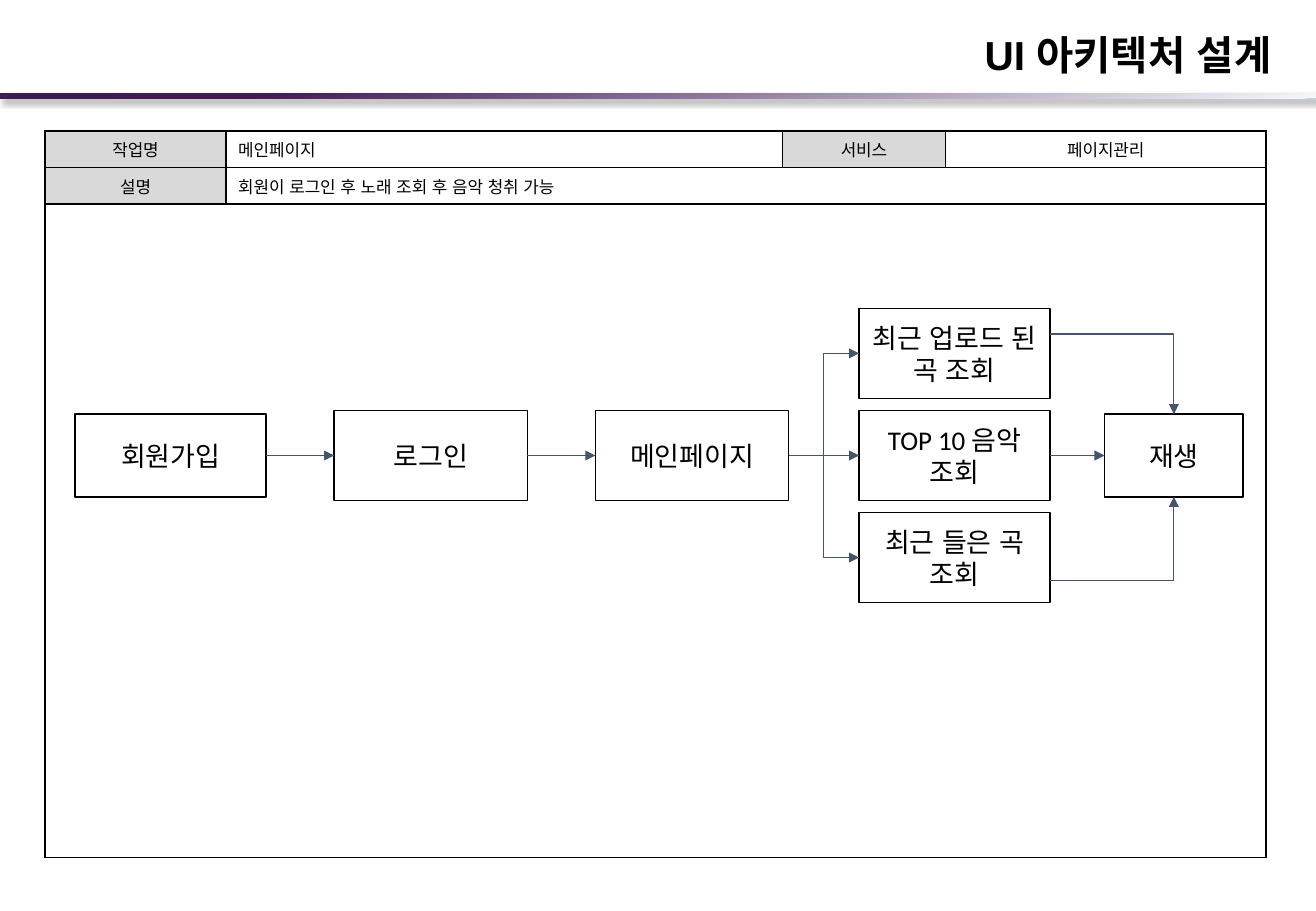
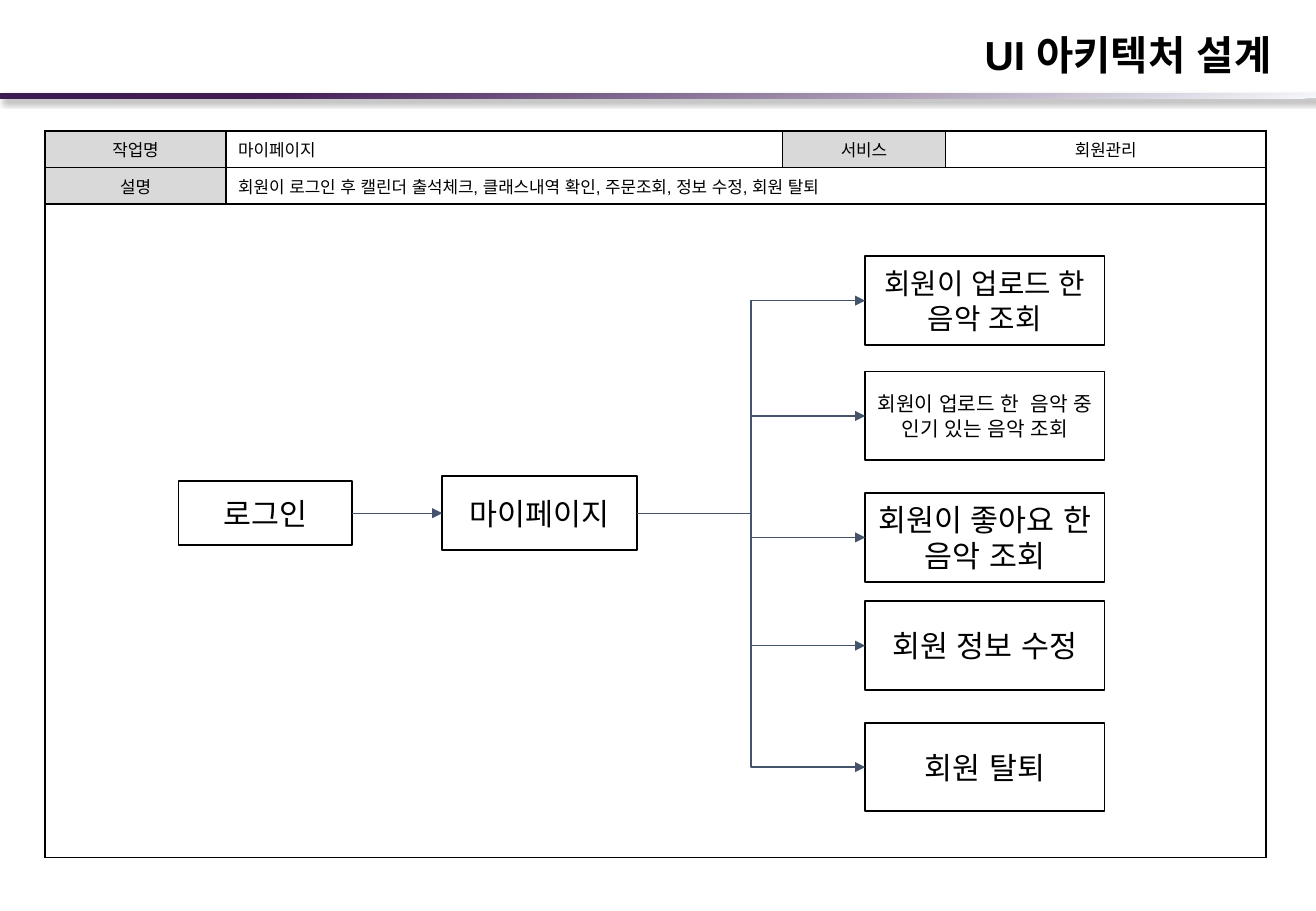
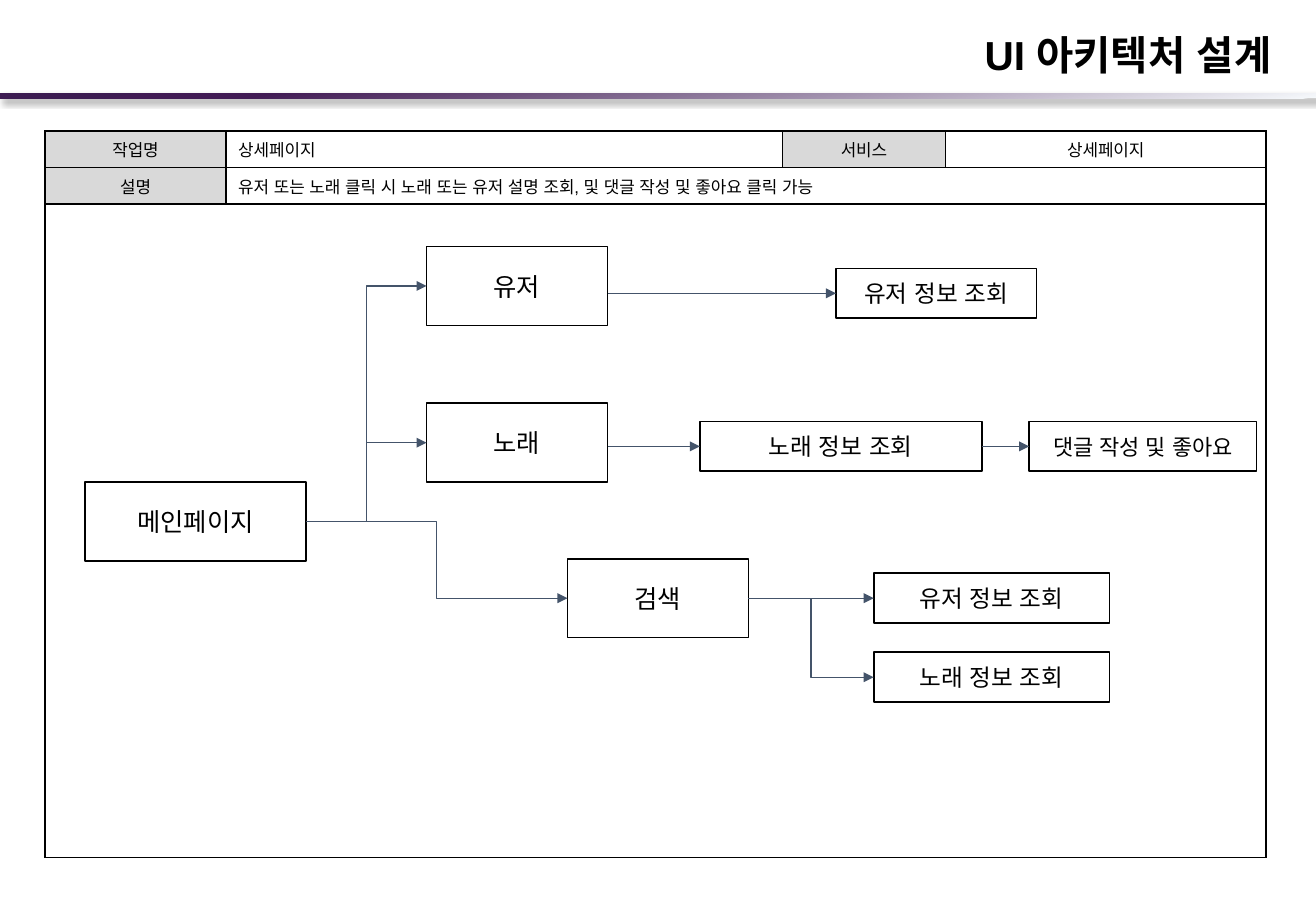
from dataclasses import dataclass

from lxml.etree import SubElement
from pptx import Presentation
from pptx.dml.color import RGBColor
from pptx.enum.lang import MSO_LANGUAGE_ID as Language
from pptx.enum.shapes import MSO_CONNECTOR as Connector, MSO_SHAPE as Shape
from pptx.enum.text import MSO_ANCHOR as Anchor, PP_ALIGN as Align
from pptx.oxml.ns import qn
from pptx.util import Inches, Pt


@dataclass(frozen=True)
class Theme:
    ink: str = "000000"
    label_fill: str = "D9D9D9"
    arrow: str = "44546A"
    bar_stops: tuple = ((0, "F6F9FC"), (80, "411B54"), (100, "3D1C52"))
    bar_angle: int = 260
    head_font: str = "Arial"
    box_font: str = "Calibri"
    title_size: int = 24
    table_size: int = 10
    border: float = 1
    arrow_width: float = 0.75


THEME = Theme()
TOP, LEFT, BOTTOM, RIGHT = range(4)

# Content: box = text, left, top, width, height, type size
TITLE = "UI 아키텍처 설계"
COLUMNS = (1.49, 4.58, 1.34, 2.64)
ROWS = (0.3, 0.3, 5.38)
PAGES = [
    {
        "task": "메인페이지",
        "service": "페이지관리",
        "about": "회원이 로그인 후 노래 조회 후 음악 청취 가능",
        "boxes": {
            "join": ("회원가입", 0.62, 3.41, 1.57, 0.68, 16),
            "login": ("로그인", 2.75, 3.38, 1.59, 0.74, 16),
            "main": ("메인페이지", 4.9, 3.38, 1.59, 0.74, 16),
            "recent": ("최근 업로드 된 곡 조회", 7.07, 2.54, 1.57, 0.74, 16),
            "top": ("TOP 10 음악 조회", 7.07, 3.38, 1.57, 0.74, 16),
            "heard": ("최근 들은 곡\n조회", 7.07, 4.22, 1.57, 0.74, 16),
            "play": ("재생", 9.09, 3.41, 1.14, 0.68, 16),
        },
        "arrows": [("join", "login"), ("login", "main"), ("main", "recent"),
                   ("main", "top"), ("main", "heard"), ("top", "play")],
        # From, to, side reached, height at which the arrow leaves
        "corners": [("recent", "play", TOP, 2.75), ("heard", "play", BOTTOM, 4.78)],
    },
    {
        "task": "마이페이지",
        "service": "회원관리",
        "about": "회원이 로그인 후 캘린더 출석체크, 클래스내역 확인, 주문조회, 정보 수정, 회원 탈퇴",
        "boxes": {
            "login": ("로그인", 1.47, 3.96, 1.43, 0.53, 18),
            "my": ("마이페이지", 3.64, 3.92, 1.6, 0.61, 18),
            "uploads": ("회원이 업로드 한 음악 조회", 7.12, 2.11, 1.97, 0.73, 17),
            "popular": ("회원이 업로드 한  음악 중 인기 있는 음악 조회", 7.12, 3.06, 1.97, 0.73, 12),
            "liked": ("회원이 좋아요 한 음악 조회", 7.12, 4.06, 1.97, 0.73, 18),
            "edit": ("회원 정보 수정", 7.12, 4.95, 1.97, 0.73, 18),
            "leave": ("회원 탈퇴", 7.12, 5.95, 1.97, 0.73, 18),
        },
        "arrows": [("login", "my"), ("my", "uploads"), ("my", "popular"),
                   ("my", "liked"), ("my", "edit"), ("my", "leave")],
        "corners": [],
    },
    {
        "task": "상세페이지",
        "service": "상세페이지",
        "about": "유저 또는 노래 클릭 시 노래 또는 유저 설명 조회, 및 댓글 작성 및 좋아요 클릭 가능",
        "boxes": {
            "main": ("메인페이지", 0.7, 3.97, 1.82, 0.65, 15),
            "user": ("유저", 3.51, 2.03, 1.49, 0.65, 15),
            "user info": ("유저 정보 조회", 6.88, 2.21, 1.65, 0.41, 14),
            "song": ("노래", 3.51, 3.32, 1.49, 0.65, 15),
            "song info": ("노래 정보 조회", 5.76, 3.47, 2.32, 0.41, 14),
            "comment": ("댓글 작성 및 좋아요", 8.47, 3.47, 1.87, 0.41, 13),
            "search": ("검색", 4.67, 4.6, 1.49, 0.65, 15),
            "found user": ("유저 정보 조회", 7.19, 4.72, 1.94, 0.41, 14),
            "found song": ("노래 정보 조회", 7.19, 5.37, 1.94, 0.41, 14),
        },
        "arrows": [("main", "user"), ("main", "song"), ("main", "search"),
                   ("user", "user info"), ("song", "song info"),
                   ("song info", "comment"), ("search", "found user"),
                   ("search", "found song")],
        "corners": [],
    },
]


# Helpers
def rgb(code):
    return RGBColor.from_string(code)


def add_xml(parent, tag, **values):
    return SubElement(parent, qn(tag), {key: str(value) for key, value in values.items()})


def write(frame, text, align, spacing=None, **font):
    frame.word_wrap = True
    frame.vertical_anchor = Anchor.MIDDLE
    frame.text = text
    for para in frame.paragraphs:
        para.alignment = align
        para.line_spacing = spacing
        for span in para.runs:
            span.font.color.rgb = rgb(THEME.ink)
            span.font.language_id = Language.KOREAN
            for key, value in font.items():
                setattr(span.font, key, value)


# Title and gradient bar shared by every page
def add_header(page):
    bar = page.shapes.add_shape(Shape.RECTANGLE, 0, Inches(0.77), Inches(10.83), Inches(0.04))
    bar.line.fill.background()
    bar.fill.gradient()
    props = bar._element.spPr
    stops = props.find(".//" + qn("a:gsLst"))
    for stop in list(stops):
        stops.remove(stop)
    for place, color in THEME.bar_stops:
        add_xml(add_xml(stops, "a:gs", pos=place * 1000), "a:srgbClr", val=color)
    props.find(".//" + qn("a:lin")).set("ang", str(THEME.bar_angle * 60000))
    bar.shadow.inherit = False
    shade = add_xml(props.find(qn("a:effectLst")), "a:outerShdw", blurRad=Pt(4),
                    dist=Pt(3), dir=45 * 60000, algn="tl", rotWithShape=0)
    add_xml(add_xml(shade, "a:srgbClr", val=THEME.ink), "a:alpha", val=40000)

    title = page.shapes.add_textbox(Inches(4.27), Inches(0.2), Inches(6.29), Inches(0.47))
    write(title.text_frame, TITLE, Align.RIGHT, spacing=1.05, name=THEME.head_font,
          size=Pt(THEME.title_size), bold=True)


# Framed table: two rows of facts above one open area
def frame_cell(cell, fill):
    props = cell._tc.get_or_add_tcPr()
    for side in ("a:lnL", "a:lnR", "a:lnT", "a:lnB"):
        edge = add_xml(props, side, w=Pt(THEME.border))
        add_xml(add_xml(edge, "a:solidFill"), "a:srgbClr", val=THEME.ink)
    if fill:
        cell.fill.solid()
        cell.fill.fore_color.rgb = rgb(fill)
    else:
        cell.fill.background()


def add_facts(page, content):
    table = page.shapes.add_table(len(ROWS), len(COLUMNS), Inches(0.37), Inches(1.08),
                                  Inches(sum(COLUMNS)), Inches(sum(ROWS))).table
    table.first_row = table.horz_banding = False
    for column, width in zip(table.columns, COLUMNS):
        column.width = Inches(width)
    for row, height in zip(table.rows, ROWS):
        row.height = Inches(height)
    facts = {
        (0, 0): ("작업명", Align.CENTER, THEME.label_fill),
        (0, 1): (content["task"], Align.LEFT, None),
        (0, 2): ("서비스", Align.CENTER, THEME.label_fill),
        (0, 3): (content["service"], Align.CENTER, None),
        (1, 0): ("설명", Align.CENTER, THEME.label_fill),
        (1, 1): (content["about"], Align.LEFT, None),
    }
    for row in range(len(ROWS)):
        for column in range(len(COLUMNS)):
            cell = table.cell(row, column)
            text, align, fill = facts.get((row, column), ("", Align.LEFT, None))
            frame_cell(cell, fill)
            if text:
                cell.vertical_anchor = Anchor.MIDDLE
                write(cell.text_frame, text, align, name=THEME.head_font,
                      size=Pt(THEME.table_size))
    table.cell(1, 1).merge(table.cell(1, 3))
    table.cell(2, 0).merge(table.cell(2, 3))


# Flow boxes and arrows
def add_box(page, text, left, top, width, height, size):
    box = page.shapes.add_shape(Shape.RECTANGLE, *map(Inches, (left, top, width, height)))
    box.shadow.inherit = False
    box.fill.background()
    box.line.color.rgb = rgb(THEME.ink)
    box.line.width = Pt(THEME.border)
    write(box.text_frame, text, Align.CENTER, name=THEME.box_font, size=Pt(size))
    return box


def middle(box):
    return box.top + box.height // 2


def draw_arrow(page, kind, start, end):
    arrow = page.shapes.add_connector(kind, *start, *end)
    arrow.line.color.rgb = rgb(THEME.arrow)
    arrow.line.width = Pt(THEME.arrow_width)
    props = arrow._element.spPr
    add_xml(props.find(qn("a:ln")), "a:tailEnd", type="triangle")
    add_xml(props, "a:effectLst")
    return arrow


def add_arrow(page, source, target):
    """Straight where the boxes nearly line up, otherwise bent halfway."""
    offset = abs(middle(source) - middle(target))
    straight = offset < Inches(0.1)
    level = offset < Inches(0.01)
    kind = Connector.STRAIGHT if straight else Connector.ELBOW
    start = source.left + source.width, middle(target if straight else source)
    arrow = draw_arrow(page, kind, start, (target.left, middle(target)))
    if level or not straight:
        arrow.begin_connect(source, RIGHT)
    arrow.end_connect(target, LEFT)


def add_corner(page, source, target, side, height):
    end_y = target.top if side == TOP else target.top + target.height
    start = source.left + source.width, Inches(height)
    arrow = draw_arrow(page, Connector.ELBOW, start, (target.left + target.width // 2, end_y))
    arrow._element.spPr.find(qn("a:prstGeom")).set("prst", "bentConnector2")
    arrow.end_connect(target, side)


def main():
    deck = Presentation()
    deck.slide_width, deck.slide_height = Inches(10.83), Inches(7.5)
    for content in PAGES:
        page = deck.slides.add_slide(deck.slide_layouts[6])
        add_header(page)
        add_facts(page, content)
        boxes = {key: add_box(page, *values) for key, values in content["boxes"].items()}
        for source, target in content["arrows"]:
            add_arrow(page, boxes[source], boxes[target])
        for source, target, side, height in content["corners"]:
            add_corner(page, boxes[source], boxes[target], side, height)
    deck.save("out.pptx")


if __name__ == "__main__":
    main()
